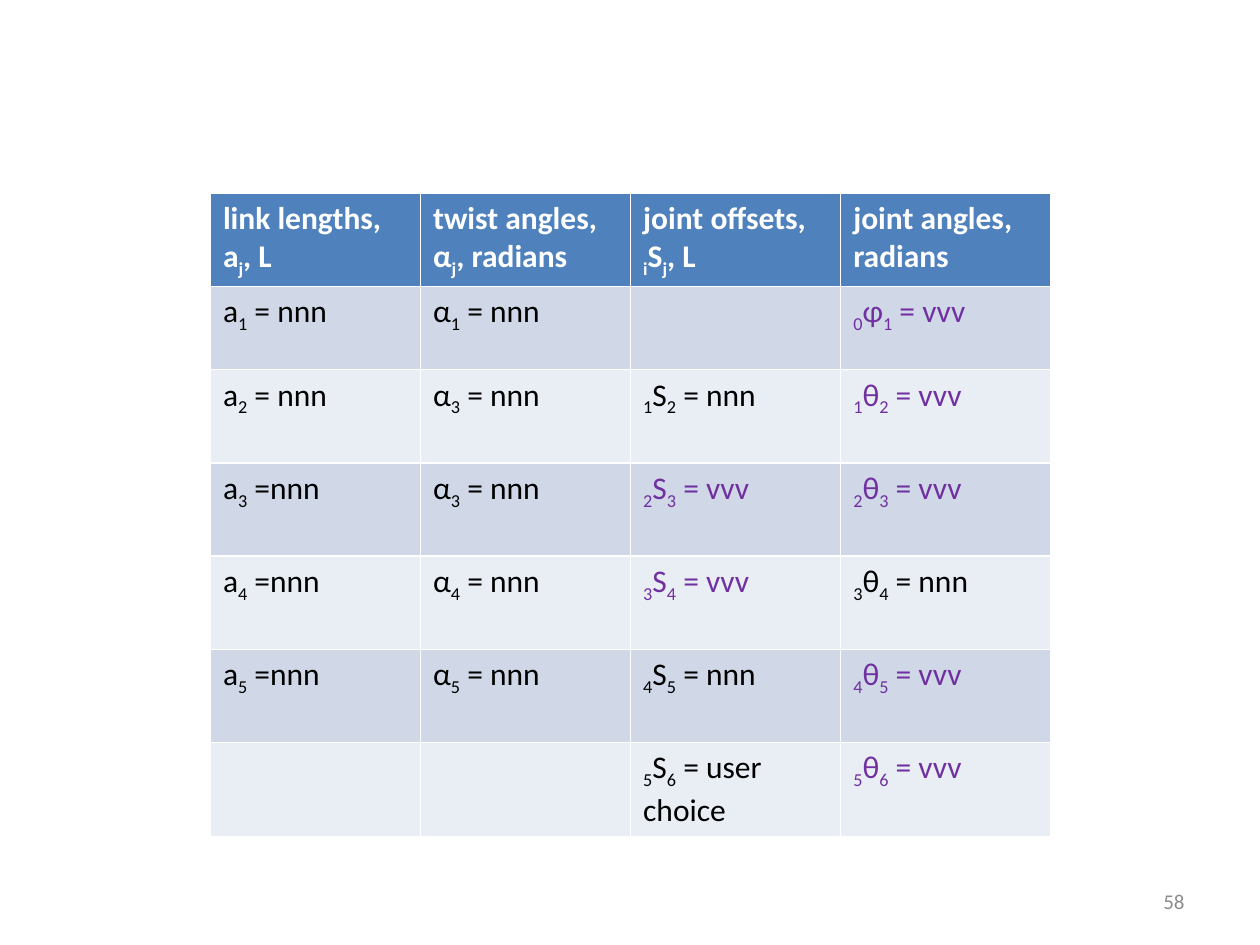
"""Build a slide with a table of mechanism link and joint parameters."""
import pptx
import pptx.dml.color
import pptx.enum.text
import pptx.util

Inches = pptx.util.Inches
COLORS = {
    "header": "4F81BD",
    "odd": "D0D8E8",
    "even": "E9EDF4",
    "white": "FFFFFF",
    "known": "000000",
    "variable": "7030A0",
    "number": "8C8C8C",
}
ROWS = [
    ["link lengths, a_j, L", "twist angles,\nα_j, radians", "joint offsets, _iS_j, L", "joint angles,\nradians"],
    ["a_1 = nnn", "α_1 = nnn", "", "_0φ_1 = vvv"],
    ["a_2 = nnn", "α_3 = nnn", "_1S_2 = nnn", "_1θ_2 = vvv"],
    ["a_3 =nnn", "α_3 = nnn", "_2S_3 = vvv", "_2θ_3 = vvv"],
    ["a_4 =nnn", "α_4 = nnn", "_3S_4 = vvv", "_3θ_4 = nnn"],
    ["a_5 =nnn", "α_5 = nnn", "_4S_5 = nnn", "_4θ_5 = vvv"],
    ["", "", "_5S_6 = user choice", "_5θ_6 = vvv"],
]
ROW_HEIGHTS = [0.74, 0.66] + [0.74] * 5


def add_span(para, text, size, color, bold=False, subscript=False):
    """Append a formatted run to a paragraph."""
    if not text:
        return
    span = para.add_run()
    span.text = text
    span.font.name = "Calibri"
    span.font.size = pptx.util.Pt(size)
    span.font.bold = bold
    span.font.color.rgb = pptx.dml.color.RGBColor.from_string(COLORS[color])
    if subscript:
        span.font._element.set("baseline", "-25000")


def write_symbols(para, text, color, bold):
    """Write text in which an underscore lowers the next character."""
    plain, *pieces = text.split("_")
    add_span(para, plain, 18, color, bold)
    for piece in pieces:
        add_span(para, piece[0], 18, color, bold, subscript=True)
        add_span(para, piece[1:], 18, color, bold)


deck = pptx.Presentation()
deck.slide_width, deck.slide_height = Inches(10), Inches(7.5)
page = deck.slides.add_slide(deck.slide_layouts[6])

frame = page.shapes.add_table(
    len(ROWS), len(ROWS[0]), Inches(1.67), Inches(1.53), Inches(6.67), Inches(sum(ROW_HEIGHTS))
)
table = frame.table
for row_index, texts in enumerate(ROWS):
    table.rows[row_index].height = Inches(ROW_HEIGHTS[row_index])
    is_header = row_index == 0
    fill = "header" if is_header else "odd" if row_index % 2 else "even"
    for column_index, text in enumerate(texts):
        cell = table.cell(row_index, column_index)
        cell.fill.solid()
        cell.fill.fore_color.rgb = pptx.dml.color.RGBColor.from_string(COLORS[fill])
        color = "white" if is_header else "variable" if "vvv" in text else "known"
        for line_index, line in enumerate(text.split("\n")):
            para = cell.text_frame.add_paragraph() if line_index else cell.text_frame.paragraphs[0]
            write_symbols(para, line, color, is_header)

box = page.shapes.add_textbox(Inches(7.17), Inches(6.95), Inches(2.33), Inches(0.4))
box.text_frame.word_wrap = True
box.text_frame.vertical_anchor = pptx.enum.text.MSO_ANCHOR.MIDDLE
para = box.text_frame.paragraphs[0]
para.alignment = pptx.enum.text.PP_ALIGN.RIGHT
add_span(para, "58", 12, "number")

deck.save("out.pptx")
